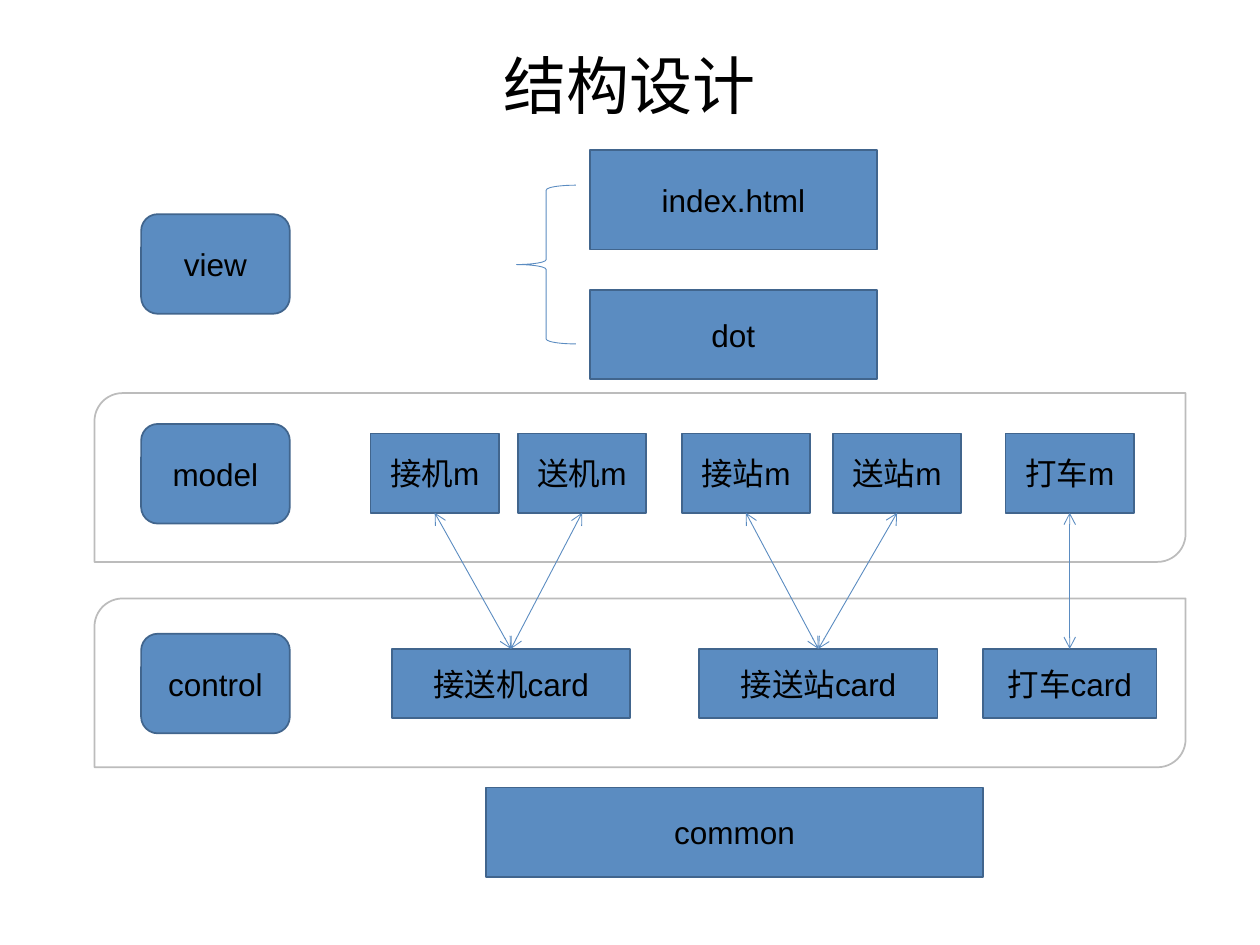
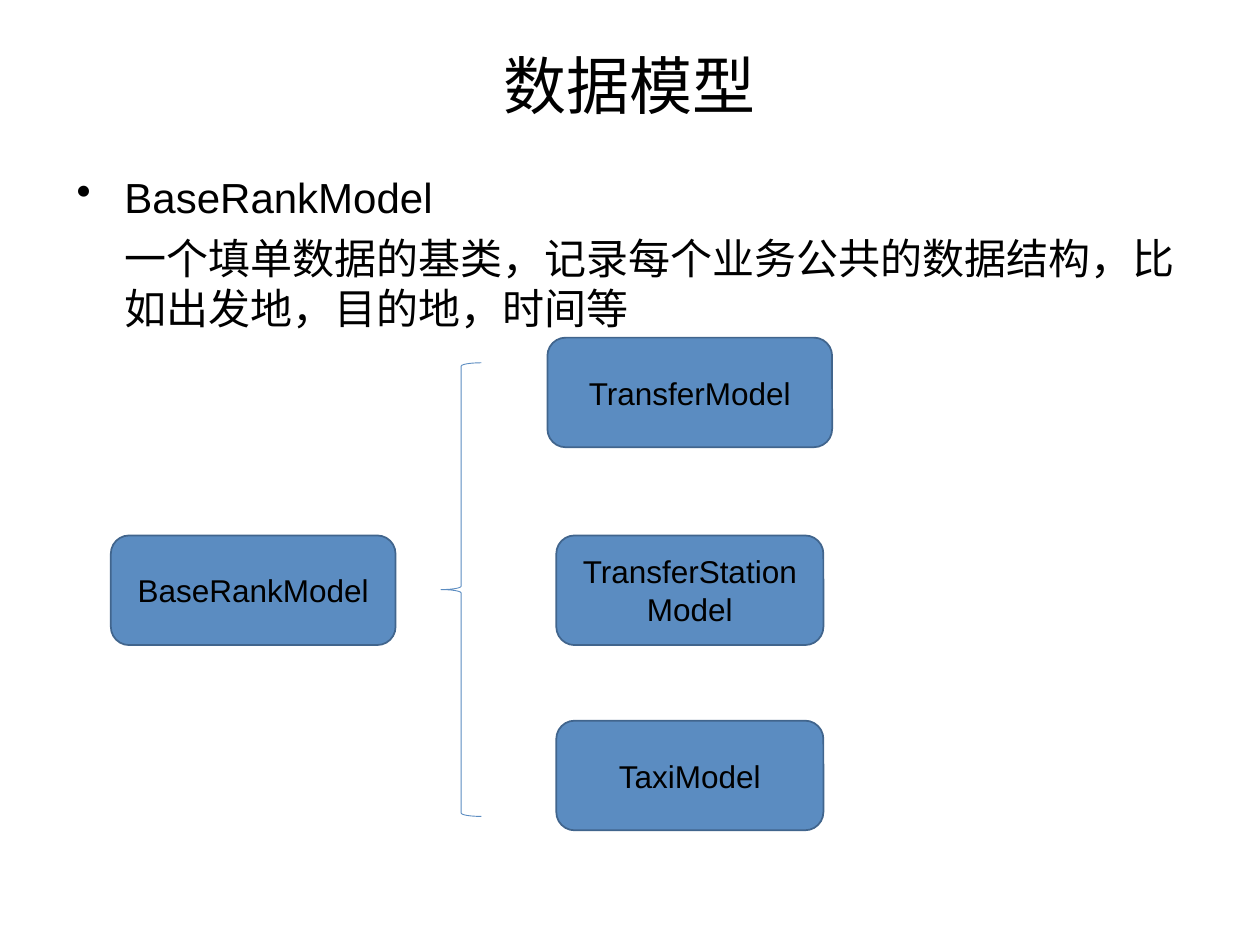
from lxml.etree import SubElement
from pptx import Presentation
from pptx.dml.color import RGBColor
from pptx.enum.shapes import MSO_CONNECTOR as Connector, MSO_SHAPE as Shape
from pptx.enum.text import MSO_ANCHOR as Anchor, PP_ALIGN as Align
from pptx.oxml.ns import qn
from pptx.util import Inches, Pt

COLORS = {"box": "5B8CC1", "edge": "41658D", "band": "FFFFFF", "band_edge": "BCBCBC", "text": "000000"}
FONT = "Arial"
COLUMNS, ROWS = 100, 75
BOTTOM, TOP = 2, 0


class Deck:
    """Draws styled elements on the current slide, on a grid of 100 columns by 75 rows."""

    def __init__(self):
        self.presentation = Presentation()
        self.presentation.slide_width = Inches(10)
        self.presentation.slide_height = Inches(7.5)
        self.slide = None

    def new_slide(self, title):
        self.slide = self.presentation.slides.add_slide(self.presentation.slide_layouts[6])
        self.text(title, 5, 3.2, 90, 7, 36, Align.CENTER, Anchor.MIDDLE)

    def place(self, left, top, width, height):
        column = self.presentation.slide_width / COLUMNS
        row = self.presentation.slide_height / ROWS
        return [round(length) for length in (left * column, top * row, width * column, height * row)]

    def set_text(self, text_frame, text, size, align, anchor):
        text_frame.word_wrap = True
        text_frame.vertical_anchor = anchor
        text_frame.text = text
        for paragraph in text_frame.paragraphs:
            paragraph.alignment = align
            for run in paragraph.runs:
                run.font.size = Pt(size)
                run.font.name = FONT
                run.font.color.rgb = RGBColor.from_string(COLORS["text"])
                SubElement(run.font._element, qn("a:ea"), typeface=FONT)

    def text(self, text, left, top, width, height, size, align=Align.LEFT, anchor=Anchor.TOP):
        box = self.slide.shapes.add_textbox(*self.place(left, top, width, height))
        self.set_text(box.text_frame, text, size, align, anchor)
        return box.text_frame.paragraphs

    def bullet(self, heading, detail, left, top, width, height):
        paragraphs = self.text(f"{heading}\n{detail}", left, top, width, height, 24)
        for paragraph, indent in zip(paragraphs, (-0.38, 0)):
            paragraph.space_before = Pt(6)
            properties = paragraph._p.get_or_add_pPr()
            properties.set("marL", str(Inches(0.38)))
            properties.set("indent", str(Inches(indent)))
            if indent:
                SubElement(properties, qn("a:buChar"), char="•")
            else:
                SubElement(properties, qn("a:buNone"))

    def shape(self, kind, left, top, width, height, fill, edge, weight=1):
        shape = self.slide.shapes.add_shape(kind, *self.place(left, top, width, height))
        shape.shadow.inherit = False
        if fill:
            shape.fill.solid()
            shape.fill.fore_color.rgb = RGBColor.from_string(COLORS[fill])
        else:
            shape.fill.background()
        shape.line.color.rgb = RGBColor.from_string(COLORS[edge])
        shape.line.width = Pt(weight)
        return shape

    def box(self, text, left, top, width, height, kind=Shape.RECTANGLE):
        shape = self.shape(kind, left, top, width, height, "box", "edge")
        self.set_text(shape.text_frame, text, 18, Align.CENTER, Anchor.MIDDLE)
        return shape

    def rounded(self, text, left, top, width, height):
        return self.box(text, left, top, width, height, Shape.ROUNDED_RECTANGLE)

    def band(self, top):
        self.shape(Shape.ROUND_2_DIAG_RECTANGLE, 7.5, top, 86.6, 13.4, "band", "band_edge")

    def brace(self, left, top, width, height):
        self.shape(Shape.LEFT_BRACE, left, top, width, height, None, "box", 0.5)

    def link(self, upper, lower):
        connector = self.slide.shapes.add_connector(Connector.STRAIGHT, 0, 0, 0, 0)
        connector.begin_connect(upper, BOTTOM)
        connector.end_connect(lower, TOP)
        connector.line.color.rgb = RGBColor.from_string(COLORS["box"])
        connector.line.width = Pt(0.5)
        line = connector.line._get_or_add_ln()
        for end in ("a:headEnd", "a:tailEnd"):
            SubElement(line, qn(end), type="arrow")
        SubElement(connector._element.spPr, qn("a:effectLst"))


def draw_structure(deck):
    """Draws the layers of the design and the links between models and cards."""
    deck.new_slide("结构设计")
    for top in (47.5, 31.2):
        deck.band(top)
    for index, layer in enumerate(("view", "model", "control")):
        deck.rounded(layer, 11.2, 17 + 16.65 * index, 11.8, 7.9)

    deck.brace(41, 14.7, 4.7, 12.6)
    deck.box("index.html", 46.8, 11.9, 22.8, 7.9)
    deck.box("dot", 46.8, 23, 22.8, 7.1)
    deck.box("common", 38.6, 62.5, 39.4, 7.1)

    cards = (
        ("接送机card", 31.1, 18.9, (("接机m", 29.4), ("送机m", 41.1))),
        ("接送站card", 55.5, 18.9, (("接站m", 54.1), ("送站m", 66.1))),
        ("打车card", 78, 13.8, (("打车m", 79.8),)),
    )
    for card_name, card_left, card_width, models in cards:
        card = deck.box(card_name, card_left, 51.5, card_width, 5.5)
        for model_name, model_left in models:
            deck.link(deck.box(model_name, model_left, 34.4, 10.2, 6.3), card)


def draw_data_model(deck):
    """Draws the base model and the models derived from it."""
    deck.new_slide("数据模型")
    deck.bullet("BaseRankModel", "一个填单数据的基类，记录每个业务公共的数据结构，比如出发地，目的地，时间等",
                5.1, 13.1, 90, 52.8)
    deck.rounded("BaseRankModel", 8.8, 42.5, 22.6, 8.7)
    deck.brace(35, 28.8, 3.2, 36)
    derived_center = 54.75
    for name, top, width in (
        ("TransferModel", 26.8, 22.6),
        ("TransferStationModel", 42.5, 21.2),
        ("TaxiModel", 57.2, 21.2),
    ):
        deck.rounded(name, derived_center - width / 2, top, width, 8.7)


def main():
    """Builds both slides and saves them."""
    deck = Deck()
    draw_structure(deck)
    draw_data_model(deck)
    deck.presentation.save("out.pptx")


if __name__ == "__main__":
    main()
